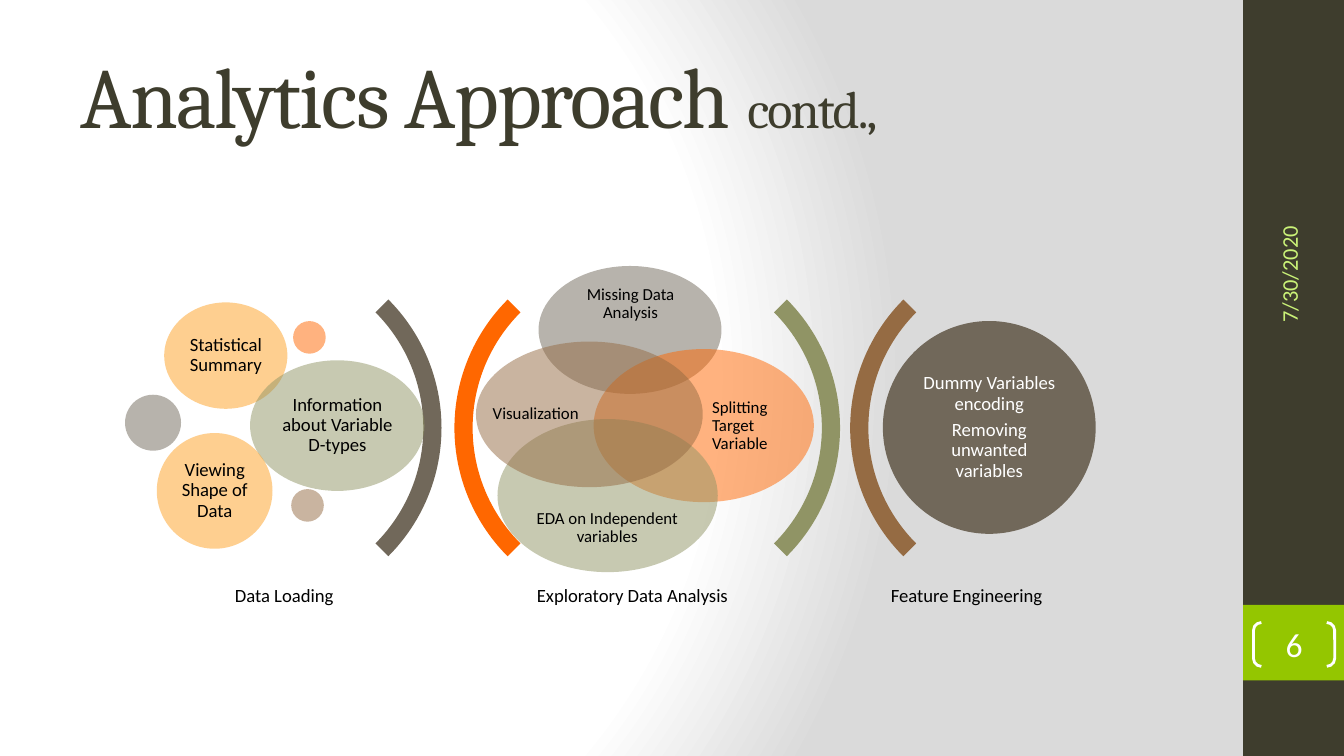
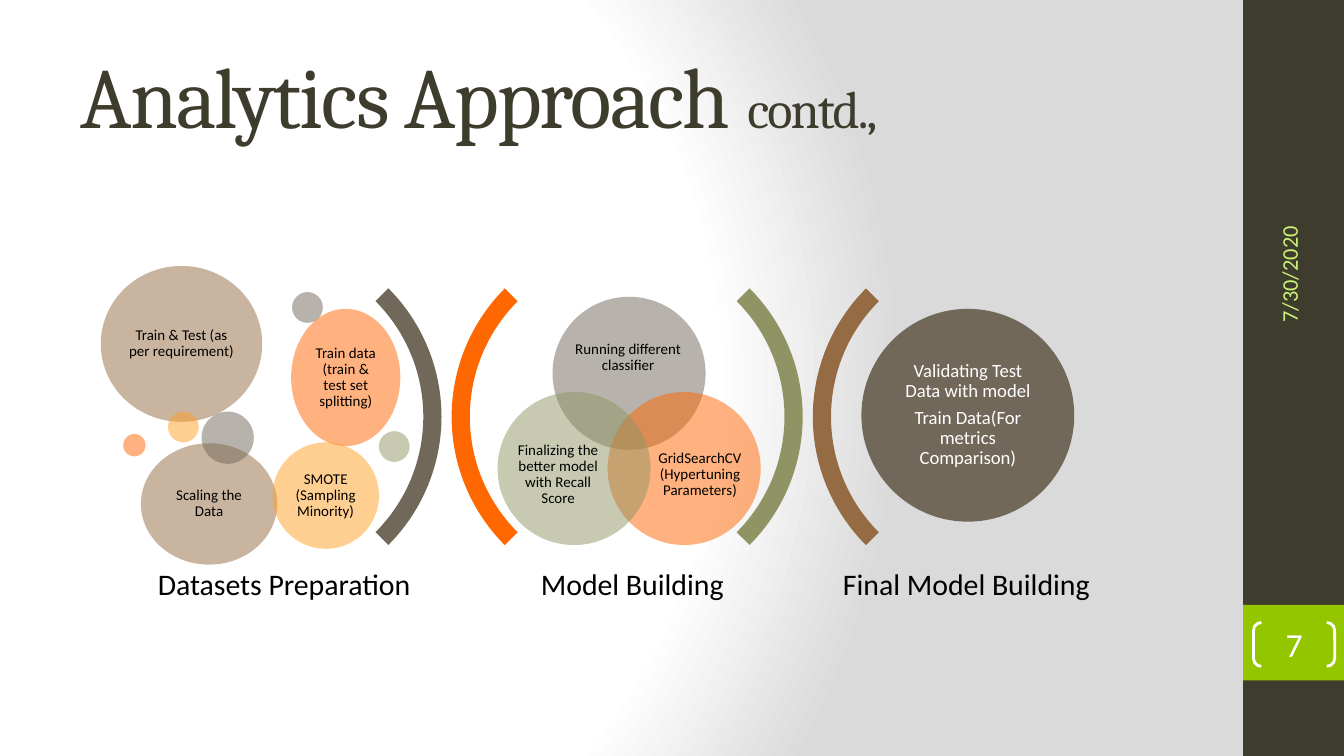
"""Build two slides that show an analytics approach in stages."""
import math

from pptx import Presentation, oxml
from pptx.dml.color import RGBColor
from pptx.enum import shapes, text
from pptx.oxml import ns
from pptx.util import Pt

HUES = {
    "dark": "3E3D2D", "green": "94C600", "lime": "CAF278",
    "white": "FFFFFF", "black": "000000", "grey": "DADADA",
    "taupe": "71685A", "orange": "FF6700", "olive": "909465",
    "brown": "956B43", "amber": "FEA022",
}
ARCS = ("taupe", "orange", "olive", "brown")
KIND = shapes.MSO_SHAPE
SIDE = text.PP_ALIGN
TITLE = (("Analytics Approach ", 46), ("contd.,", 28))
CAPS = (78.5, 265, 444)
TRIM = (1 - math.sqrt(0.5)) / 2

LOAD = {
    "page": "6", "top": 132, "arcs": (42, 243.5, 255.5, 455.5),
    "caps": ("Data Loading", "Exploratory Data Analysis", "Feature Engineering"),
    "cap": (300, 10, 3),
    "venn": (
        ("taupe", (288.5, 142.5, 98, 68.5), "Missing Data Analysis",
         (300, 152, 75.5, 21.5), SIDE.CENTER),
        ("orange", (318, 187, 118, 82), "Splitting Target Variable",
         (381.5, 196.5, 45.5, 63.5), SIDE.LEFT),
        ("olive", (266.5, 224.5, 118, 82), "EDA on Independent variables",
         (280, 270, 90.5, 26), SIDE.CENTER),
        ("brown", (255, 183, 121.5, 78), "Visualization",
         (264, 192, 47.5, 60), SIDE.LEFT),
    ),
    "venn size": 9,
    "balls": (
        ("amber", (88, 162, 66, 57), "Statistical Summary"),
        ("taupe", (67, 211.5, 30, 30), ""),
        ("orange", (157, 172, 17.5, 17.5), ""),
        ("olive", (134, 193, 93.5, 70), "Information about Variable D-types"),
        ("brown", (156, 262, 17.5, 17.5), ""),
        ("amber", (84, 232, 62, 62), "Viewing Shape of Data"),
    ),
    "ball": (10, 3),
    "goal": ((473, 172, 114, 114),
             ("Dummy Variables encoding", "Removing unwanted variables")),
}
MODEL = {
    "page": "7", "top": 126, "arcs": (42, 242, 235.5, 435.5),
    "caps": ("Datasets Preparation", "Model Building", "Final Model Building"),
    "cap": (294.5, 16, 5),
    "venn": (
        ("taupe", (296, 159, 82, 82), "Running different classifier",
         (306.5, 173.5, 60, 36.5), SIDE.CENTER),
        ("orange", (325.5, 210, 82, 82), "GridSearchCV (Hypertuning Parameters)",
         (350.5, 232, 49, 44.5), SIDE.CENTER),
        ("olive", (266.5, 210, 82, 82),
         "Finalizing the better model with Recall Score",
         (274.5, 232, 49, 44.5), SIDE.CENTER),
    ),
    "venn size": 8,
    "balls": (
        ("brown", (54, 142.5, 86.5, 83.5), "Train & Test (as per requirement)"),
        ("amber", (90, 220.5, 16.5, 16.5), ""),
        ("taupe", (156.5, 156.5, 16.5, 16.5), ""),
        ("orange", (156, 165.5, 58.5, 73.5),
         "Train data (train & test set splitting)"),
        ("olive", (203, 231, 16.5, 16.5), ""),
        ("brown", (75.5, 237.5, 73, 65), "Scaling the Data"),
        ("amber", (146, 237, 57, 57), "SMOTE (Sampling Minority)"),
        ("taupe", (108, 220.5, 28, 28), ""),
        ("orange", (66, 232.5, 12, 12), ""),
    ),
    "ball": (8, 2),
    "goal": ((461.5, 165.5, 114, 114),
             ("Validating Test Data with model",
              "Train Data(For metrics Comparison)")),
}


def rgb(hue):
    """Return the named colour."""
    return RGBColor.from_string(HUES[hue])


def add_run(para, words, size, hue, face="Calibri"):
    """Append a formatted run to a paragraph."""
    run = para.add_run()
    run.text = words
    run.font.size, run.font.name = Pt(size), face
    run.font.color.rgb = rgb(hue)


def set_frame(frame, pad=0):
    """Wrap and centre a text frame upright, with equal insets."""
    frame.word_wrap = True
    frame.auto_size = text.MSO_AUTO_SIZE.NONE
    frame.vertical_anchor = text.MSO_ANCHOR.MIDDLE
    frame.margin_left = frame.margin_right = Pt(pad)
    frame.margin_top = frame.margin_bottom = Pt(pad)


def add_form(tree, kind, box, hue=None, alpha=100):
    """Add a preset shape without outline or shadow."""
    form = tree.add_shape(kind, *map(Pt, box))
    form.shadow.inherit = False
    form.line.fill.background()
    if hue is None:
        form.fill.background()
        return form
    form.fill.solid()
    form.fill.fore_color.rgb = rgb(hue)
    if alpha < 100:
        tint = next(form.element.iter(ns.qn("a:srgbClr")))
        tint.append(oxml.parse_xml(
            f'<a:alpha {ns.nsdecls("a")} val="{alpha * 1000}"/>'))
    return form


def add_label(tree, box, lines, size, pad=0, hue="black", side=SIDE.CENTER):
    """Add a text box with one tight paragraph per line."""
    frame = tree.add_textbox(*map(Pt, box)).text_frame
    set_frame(frame, pad)
    for i, words in enumerate(lines):
        para = frame.add_paragraph() if i else frame.paragraphs[0]
        para.alignment = side
        para.line_spacing = 0.9
        para.space_after = Pt(0.35 * size)
        add_run(para, words, size, hue)


def add_ball(tree, hue, box, lines, size, pad, alpha=50, ink="black"):
    """Add an ellipse with text in its inscribed box."""
    add_form(tree, KIND.OVAL, box, hue, alpha)
    if lines:
        x, y, w, h = box
        inner = (x + w * TRIM, y + h * TRIM, w * (1 - 2 * TRIM), h * (1 - 2 * TRIM))
        add_label(tree, inner, lines, size, pad, ink)


def set_back(layout):
    """Give the layout its circular gradient."""
    layout.background.fill.gradient()
    grad = next(layout.element.iter(ns.qn("a:gradFill")))
    stops = "".join(
        f'<a:gs pos="{at * 1000}"><a:srgbClr val="{HUES[hue]}"/></a:gs>'
        for at, hue in ((0, "white"), (75, "white"), (100, "grey")))
    grad.getparent().replace(grad, oxml.parse_xml(
        f'<a:gradFill {ns.nsdecls("a")} rotWithShape="1"><a:gsLst>{stops}</a:gsLst>'
        '<a:path path="circle"><a:fillToRect l="20000" t="50000" r="100000" '
        'b="50000"/></a:path></a:gradFill>'))


def set_bands(layout, slide):
    """Place the side bands on the layout, behind its placeholders."""
    bands = (("dark", (666, 0, 54, 405)), ("green", (666, 324, 54, 40.5)))
    for i, (hue, box) in enumerate(bands):
        band = add_form(slide.shapes, KIND.RECTANGLE, box, hue).element
        next(band.iter(ns.qn("p:cNvPr"))).set("id", str(101 + i))
        layout.shapes.element.insert(2 + i, band)


def add_title(slide):
    """Fill the title placeholder."""
    title = slide.shapes.title
    title.left, title.top, title.width, title.height = map(Pt, (36, 16.5, 600, 67.5))
    frame = title.text_frame
    frame.word_wrap = True
    frame.auto_size = text.MSO_AUTO_SIZE.NONE
    frame.vertical_anchor = text.MSO_ANCHOR.MIDDLE
    para = frame.paragraphs[0]
    para.alignment = SIDE.LEFT
    for words, size in TITLE:
        add_run(para, words, size, "dark", "Cambria")
    for prop in title.element.iter(ns.qn("a:rPr")):
        prop.set("spc", "-100")


def add_foot(slide, page):
    """Add the upright date and the bracketed page number."""
    date = slide.shapes.add_textbox(*map(Pt, (618.5, 93.5, 144, 29)))
    date.rotation = 270
    set_frame(date.text_frame, 7.2)
    add_run(date.text_frame.paragraphs[0], "7/30/2020", 12, "lime")
    mark = add_form(slide.shapes, KIND.DOUBLE_BRACKET, (671.5, 333.5, 43.5, 23.5))
    mark.adjustments[0] = 0.18
    mark.line.color.rgb = rgb("white")
    mark.line.width = Pt(1.5)
    set_frame(mark.text_frame)
    para = mark.text_frame.paragraphs[0]
    para.alignment = SIDE.CENTER
    add_run(para, page, 18, "white")


def add_flow(slide, data):
    """Draw the three stages as one group."""
    tree = slide.shapes.add_group_shape().shapes
    for i, (x, hue) in enumerate(zip(data["arcs"], ARCS)):
        arc = add_form(tree, KIND.BLOCK_ARC, (x, data["top"], 194.5, 194.5), hue)
        arc.rotation = 270 if i % 2 else 90
        for j, value in enumerate((135, 189, 0.05)):
            arc.adjustments[j] = value
    top, size, pad = data["cap"]
    for x, words in zip(CAPS, data["caps"]):
        add_label(tree, (x, top, 147.5, 39), [words], size, pad)
    for hue, box, words, area, side in data["venn"]:
        add_form(tree, KIND.OVAL, box, hue, 50)
        add_label(tree, area, [words], data["venn size"], side=side)
    for hue, box, words in data["balls"]:
        add_ball(tree, hue, box, [words] if words else [], *data["ball"])
    box, lines = data["goal"]
    add_ball(tree, "taupe", box, lines, 10, 3, 100, "white")


def main():
    """Build and save the deck."""
    deck = Presentation()
    deck.slide_width, deck.slide_height = Pt(720), Pt(405)
    layout = deck.slide_layouts[5]
    set_back(layout)
    for i, data in enumerate((LOAD, MODEL)):
        slide = deck.slides.add_slide(layout)
        if i == 0:
            set_bands(layout, slide)
        add_title(slide)
        add_foot(slide, data["page"])
        add_flow(slide, data)
    deck.save("out.pptx")


main()
